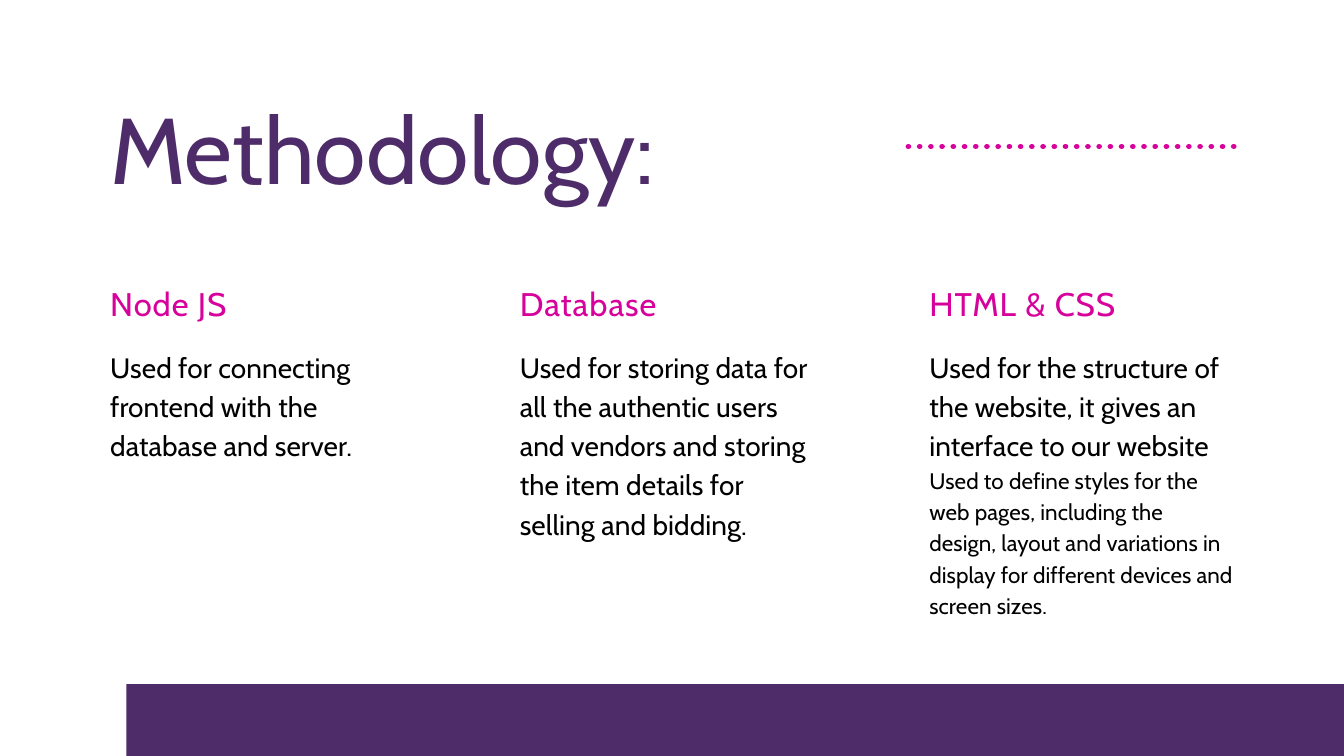
from pptx import Presentation
from pptx.dml.color import RGBColor
from pptx.enum.dml import MSO_LINE_DASH_STYLE as DASH
from pptx.enum.shapes import MSO_CONNECTOR, MSO_SHAPE
from pptx.enum.text import MSO_ANCHOR, MSO_AUTO_SIZE, PP_ALIGN
from pptx.oxml.ns import qn
from pptx.util import Inches, Pt

WIDTH, HEIGHT = 20, 11.25
MARGIN = 1.64
COLUMN_WIDTH = 4.53
COLUMNS = 3
COLUMN_STEP = (WIDTH - 2 * MARGIN - COLUMN_WIDTH) / (COLUMNS - 1)
FONT = "Cabin"
PURPLE, PINK, BLACK = "4E2C69", "D6029B", "000000"

TOPICS = [
    ("Node JS", ["Used for connecting frontend with the database and server."]),
    ("Database", ["Used for storing data for all the authentic users and vendors "
                  "and storing the item details for selling and bidding."]),
    ("HTML & CSS", ["Used for the structure of the website, it gives an interface "
                    "to our website",
                    "Used to define styles for the web pages, including the design, "
                    "layout and variations in display for different devices and "
                    "screen sizes."]),
]
BODY_STYLES = [(30, 42), (24, 33.6)]  # size and line spacing of each paragraph


def set_color(color_format, value):
    color_format.rgb = RGBColor.from_string(value)


def place(shape, left, top, width, height):
    shape.left, shape.top = Inches(left), Inches(top)
    shape.width, shape.height = Inches(width), Inches(height)


def fill_text(shape, texts, styles, color, tracking=0):
    """Write one paragraph per text, each with its (size, line spacing)."""
    frame = shape.text_frame
    frame.word_wrap = True
    frame.auto_size = MSO_AUTO_SIZE.NONE
    frame.vertical_anchor = MSO_ANCHOR.TOP
    frame.margin_left = frame.margin_right = 0
    frame.margin_top = frame.margin_bottom = 0
    frame.text = "\n".join(texts)
    for paragraph, (size, spacing) in zip(frame.paragraphs, styles):
        paragraph.alignment = PP_ALIGN.LEFT
        paragraph.line_spacing = Pt(spacing)
        paragraph.space_before = Pt(0)
        for run in paragraph.runs:
            run.font.name = FONT
            run.font.size = Pt(size)
            set_color(run.font.color, color)
            run.font._element.set("spc", str(round(tracking * 100)))


def add_title(slide, left, top, width, height):
    title = slide.shapes.title
    place(title, left, top, width, height)
    fill_text(title, ["Methodology:"], [(100, 110)], PURPLE)


def add_dotted_line(slide, left, top, width):
    line = slide.shapes.add_connector(
        MSO_CONNECTOR.STRAIGHT, Inches(left + width), Inches(top), Inches(left), Inches(top))
    line.line.width = Pt(6)
    set_color(line.line.color, PINK)
    line.line.dash_style = DASH.ROUND_DOT
    properties = line._element.spPr
    properties.find(qn("a:ln")).set("cap", "rnd")
    properties.append(properties.makeelement(qn("a:effectLst"), {}))


def add_topic(slide, left, top, width, height, heading, texts):
    """Place a heading and the text below it in the given box."""
    body_offset = 0.91
    parts = [
        (top, 0.59, [heading], [(35, 42)], PINK, 1.1),
        (top + body_offset, height - body_offset, texts, BODY_STYLES, BLACK, 0.1),
    ]
    for part_top, part_height, *text in parts:
        box = slide.shapes.add_textbox(0, 0, 0, 0)
        place(box, left, part_top, width, part_height)
        fill_text(box, *text)


def add_footer_bar(slide, left, top):
    bar = slide.shapes.add_shape(
        MSO_SHAPE.RECTANGLE, Inches(left), Inches(top),
        Inches(WIDTH - left), Inches(HEIGHT - top))
    bar.shadow.inherit = False
    bar.fill.solid()
    set_color(bar.fill.fore_color, PURPLE)
    bar.line.fill.background()


def main():
    presentation = Presentation()
    presentation.slide_width = Inches(WIDTH)
    presentation.slide_height = Inches(HEIGHT)
    slide = presentation.slides.add_slide(presentation.slide_layouts.get_by_name("Title Only"))

    # Header
    add_title(slide, MARGIN, 1.5, 10.62, 2.4)
    add_dotted_line(slide, WIDTH - MARGIN - 5, 2.18, 5)

    # Three topics in equal columns
    for index, (heading, texts) in enumerate(TOPICS):
        add_topic(slide, MARGIN + index * COLUMN_STEP, 4.22, COLUMN_WIDTH, 5.51, heading, texts)

    # Footer
    add_footer_bar(slide, 1.88, 10.18)

    presentation.save("out.pptx")


if __name__ == "__main__":
    main()
